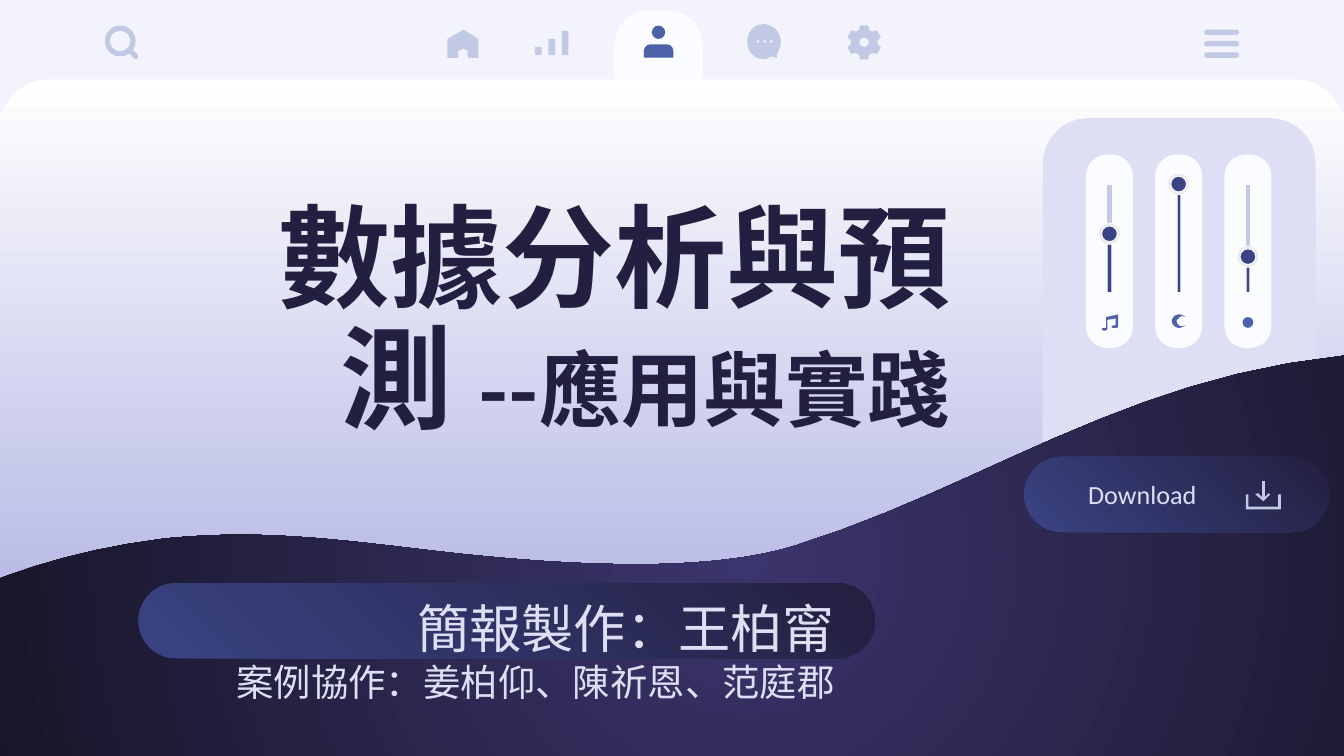
import math
from lxml import etree
from pptx import Presentation
from pptx import util as u
from pptx.dml.color import RGBColor
from pptx.enum import shapes, text
from pptx.oxml.ns import qn

S = shapes.MSO_SHAPE
CJK = "Noto Sans CJK SC"
NAVY, BLUE, SLATE = "231F40", "3A4383", "4D61A9"
MIST, LILAC, PAPER, SKY = "C1C9E4", "DEDFF5", "FBFCFF", "F2F3FD"


def inch(value):
    return u.Cm(value * 2.54)


def color(hex_code):
    return RGBColor.from_string(hex_code)


def flatten(outline, steps=12):
    contours, tokens = [], outline.split()
    while tokens:
        command = tokens.pop(0)
        if command == "Z":
            continue
        count = 6 if command == "C" else 2
        values = [float(tokens.pop(0)) for _ in range(count)]
        points = list(zip(values[::2], values[1::2]))
        if command == "M":
            contours.append(points)
        elif command == "L":
            contours[-1] += points
        else:
            curve = [contours[-1][-1]] + points
            for step in range(1, steps + 1):
                t = step / steps
                weights = [math.comb(3, k) * t ** k * (1 - t) ** (3 - k) for k in range(4)]
                contours[-1].append(tuple(
                    sum(w * p[axis] for w, p in zip(weights, curve)) for axis in (0, 1)))
    return contours


def ring(x, y, radius, count=16):
    return [(x + radius * math.cos(2 * math.pi * i / count),
             y - radius * math.sin(2 * math.pi * i / count)) for i in range(count)]


class Canvas:
    def __init__(self, slide):
        self.slide = slide
        self.shapes = slide.shapes
        slide.background.fill.solid()
        slide.background.fill.fore_color.rgb = color(SKY)

    def paint(self, shape, fill, angle=None, line=None):
        shape.shadow.inherit = False
        if isinstance(fill, tuple):
            shape.fill.gradient()
            for stop, shade in zip(shape.fill.gradient_stops, fill):
                stop.color.rgb = color(shade)
            if angle is None:
                linear = shape._element.spPr.find(".//" + qn("a:lin"))
                radial = etree.Element(qn("a:path"), path="circle")
                etree.SubElement(radial, qn("a:fillToRect"), l="50000", t="50000", r="50000", b="50000")
                linear.getparent().replace(linear, radial)
            else:
                shape.fill.gradient_angle = angle
        else:
            shape.fill.solid()
            shape.fill.fore_color.rgb = color(fill)
        if line:
            shape.line.color.rgb = color(line[0])
            shape.line.width = u.Pt(line[1])
        else:
            shape.line.fill.background()
        return shape

    def preset(self, kind, box, fill, adj=(), angle=None, line=None):
        shape = self.shapes.add_shape(kind, *map(inch, box))
        for i, value in enumerate(adj):
            shape.adjustments[i] = value
        return self.paint(shape, fill, angle, line)

    def disc(self, x, y, size, fill, line=None):
        return self.preset(S.OVAL, (x - size / 2, y - size / 2, size, size), fill, line=line)

    def outline(self, contours, fill):
        contours = [[(inch(x), inch(y)) for x, y in points] for points in contours]
        builder = self.shapes.build_freeform(*contours[0][0], scale=1.0)
        for i, points in enumerate(contours):
            if i:
                builder.move_to(*points[0])
            builder.add_line_segments(points[1:], close=True)
        return self.paint(builder.convert_to_shape(), fill)

    def track(self, x, top, bottom, shade, width):
        line = self.shapes.add_connector(
            shapes.MSO_CONNECTOR.STRAIGHT, inch(x), inch(top), inch(x), inch(bottom))
        line.line.color.rgb = color(shade)
        line.line.width = u.Pt(width)
        etree.SubElement(line._element.spPr, qn("a:effectLst"))

    def frame(self, holder, anchor):
        body = holder.text_frame
        body.word_wrap = True
        body.auto_size = text.MSO_AUTO_SIZE.NONE
        body.vertical_anchor = anchor
        body.margin_left = body.margin_right = body.margin_top = body.margin_bottom = inch(0.1)
        return body

    def style(self, paragraph, align, shade, font, size=None, bold=False):
        paragraph.alignment = align
        paragraph.font.name = font
        paragraph.font.bold = bold
        paragraph.font.color.rgb = color(shade)
        if size:
            paragraph.font.size = u.Pt(size)

    def title(self, box, runs):
        holder = self.shapes.title
        holder._element.getparent().append(holder._element)
        holder.left, holder.top, holder.width, holder.height = map(inch, box)
        paragraph = self.frame(holder, text.MSO_ANCHOR.MIDDLE).paragraphs[0]
        for words, size in runs:
            run = paragraph.add_run()
            run.text = words
            run.font.size = u.Pt(size)
        paragraph.line_spacing = 0.9
        self.style(paragraph, text.PP_ALIGN.RIGHT, NAVY, CJK, bold=True)

    def label(self, box, lines, align, anchor):
        body = self.frame(self.shapes.add_textbox(*map(inch, box)), anchor)
        for i, (words, size, font) in enumerate(lines):
            paragraph = body.add_paragraph() if i else body.paragraphs[0]
            paragraph.text = words
            self.style(paragraph, align, LILAC, font, size)

    def slider(self, x, knob):
        self.preset(S.ROUNDED_RECTANGLE, (x - 0.175, 1.15, 0.35, 1.44), PAPER, [0.46])
        self.track(x, 1.38, 2.17, MIST, 2.27)
        self.track(x, knob, 2.17, BLUE, 1.18)
        self.disc(x, knob, 0.16, "E9E9E9", ("FFFFFF", 0.27))
        self.disc(x, knob, 0.12, BLUE, (SKY, 0.75))


def draw_navigation(page):
    page.preset(S.ROUND_2_SAME_RECTANGLE, (4.57, 0.08, 0.66, 0.51), PAPER, [0.5, 0])
    page.disc(4.9, 0.24, 0.1, SLATE)
    page.preset(S.ROUND_2_SAME_RECTANGLE, (4.79, 0.33, 0.22, 0.1), SLATE, [0.5, 0])
    page.outline(flatten("M 3.45 .22 L 3.33 .29 L 3.33 .43 L 3.41 .43 L 3.41 .38 L 3.45 .36 "
                         "L 3.48 .38 L 3.48 .43 L 3.56 .43 L 3.56 .29 Z"), MIST)
    for i in range(3):
        height = 0.06 * (i + 1)
        page.preset(S.RECTANGLE, (3.98 + 0.1 * i, 0.41 - height, 0.05, height), MIST)
        page.preset(S.ROUNDED_RECTANGLE, (8.96, 0.22 + 0.085 * i, 0.26, 0.04), MIST, [0.5])
    bubble = flatten("M 5.81 .31 C 5.81 .24 5.75 .18 5.68 .18 C 5.61 .18 5.56 .24 5.56 .31 "
                     "C 5.56 .38 5.61 .44 5.68 .44 C 5.71 .44 5.72 .43 5.74 .42 "
                     "L 5.78 .43 L 5.78 .4 C 5.8 .37 5.81 .34 5.81 .31 Z")
    page.outline(bubble + [ring(5.64 + 0.05 * i, 0.31, 0.01) for i in range(3)], MIST)
    gear = []
    for tooth in range(6):
        for offset, radius in ((-22, 0.1), (-13, 0.13), (13, 0.13), (22, 0.1)):
            angle = math.radians(90 + 60 * tooth + offset)
            gear.append((6.43 + radius * math.cos(angle), 0.315 + radius * math.sin(angle)))
    page.outline([gear, ring(6.43, 0.315, 0.035)], MIST)
    page.preset(S.DONUT, (0.78, 0.19, 0.23, 0.23), MIST, [0.17])
    page.preset(S.ROUNDED_RECTANGLE, (0.93, 0.375, 0.11, 0.04), MIST, [0.5]).rotation = 45


def draw_controls(page):
    for i, knob in enumerate((1.74, 1.37, 1.91)):
        page.slider(8.255 + 0.515 * i, knob)
    page.outline(flatten(
        "M 8.23 2.36 L 8.23 2.44 C 8.23 2.44 8.22 2.44 8.22 2.44 C 8.21 2.44 8.2 2.44 8.2 2.45 "
        "C 8.2 2.46 8.21 2.46 8.22 2.46 C 8.23 2.46 8.24 2.45 8.24 2.45 L 8.24 2.38 L 8.3 2.37 "
        "L 8.3 2.42 C 8.28 2.42 8.27 2.43 8.27 2.43 C 8.27 2.44 8.28 2.44 8.29 2.44 "
        "C 8.3 2.44 8.32 2.44 8.32 2.43 L 8.32 2.34 Z"), SLATE)
    page.outline(flatten(
        "M 8.77 2.42 C 8.75 2.4 8.75 2.38 8.77 2.37 C 8.78 2.35 8.8 2.35 8.82 2.36 "
        "C 8.81 2.35 8.79 2.34 8.77 2.34 C 8.75 2.34 8.72 2.36 8.72 2.39 "
        "C 8.72 2.42 8.75 2.44 8.77 2.44 C 8.79 2.44 8.81 2.43 8.82 2.42 "
        "C 8.8 2.43 8.78 2.43 8.77 2.42 Z"), SLATE)
    page.disc(9.285, 2.4, 0.08, SLATE)


def main():
    deck = Presentation()
    deck.slide_width, deck.slide_height = u.Cm(25.4), u.Cm(14.29)
    page = Canvas(deck.slides.add_slide(deck.slide_layouts[5]))
    page.preset(S.ROUND_2_SAME_RECTANGLE, (-0.01, 0.59, 10.02, 5.08), ("FFFFFF", "9FA2DD"), [0.075, 0], 270)
    page.preset(S.ROUND_2_SAME_RECTANGLE, (7.76, 0.88, 2.03, 2.93), LILAC, [0.167, 0])
    page.outline(flatten(
        "M 10.61 2.61 C 10.4 2.61 10.19 2.62 9.98 2.65 C 8.35 2.82 7.3 3.63 5.92 4.06 "
        "C 5.6 4.16 5.18 4.2 4.74 4.2 C 4.27 4.2 3.79 4.16 3.41 4.12 "
        "C 2.86 4.06 2.34 3.98 1.79 3.98 C 1.6 3.98 1.41 3.99 1.21 4.01 "
        "C .18 4.14 -.61 4.51 -1.19 4.98 C -1.46 5.2 -1.69 5.43 -1.87 5.68 "
        "L 12.97 5.68 L 12.97 3.03 C 12.25 2.78 11.45 2.61 10.61 2.61 Z"), ("3B356D", "0C0B13"))
    draw_navigation(page)
    page.title((0.78, 1.22, 6.39, 2.38), [("數據分析與預測 ", 60), ("--應用與實踐", 44)])
    for box in ((1.03, 4.34, 5.48, 0.56), (7.62, 3.4, 2.27, 0.56)):
        page.preset(S.ROUNDED_RECTANGLE, box, (BLUE, NAVY), [0.5], 45)
    for icon in ("M 9.39 3.58 L 9.39 3.72 L 9.41 3.72 L 9.41 3.58 Z",
                 "M 9.27 3.68 L 9.27 3.79 L 9.53 3.79 L 9.53 3.68 L 9.51 3.68 L 9.51 3.77 "
                 "L 9.29 3.77 L 9.29 3.68 Z",
                 "M 9.36 3.67 L 9.34 3.68 L 9.4 3.73 L 9.45 3.68 L 9.44 3.67 L 9.4 3.71 Z"):
        page.outline(flatten(icon), MIST)
    page.label((7.77, 3.45, 1.46, 0.45), [("Download", 14, "Calibri")],
               text.PP_ALIGN.CENTER, text.MSO_ANCHOR.MIDDLE)
    draw_controls(page)
    page.label((1.22, 4.34, 5.09, 0.45),
               [("簡報製作：王柏甯", 28, CJK), ("案例協作：姜柏仰、陳祈恩、范庭郡", 20, "Calibri")],
               text.PP_ALIGN.RIGHT, text.MSO_ANCHOR.TOP)
    deck.save("out.pptx")


if __name__ == "__main__":
    main()
